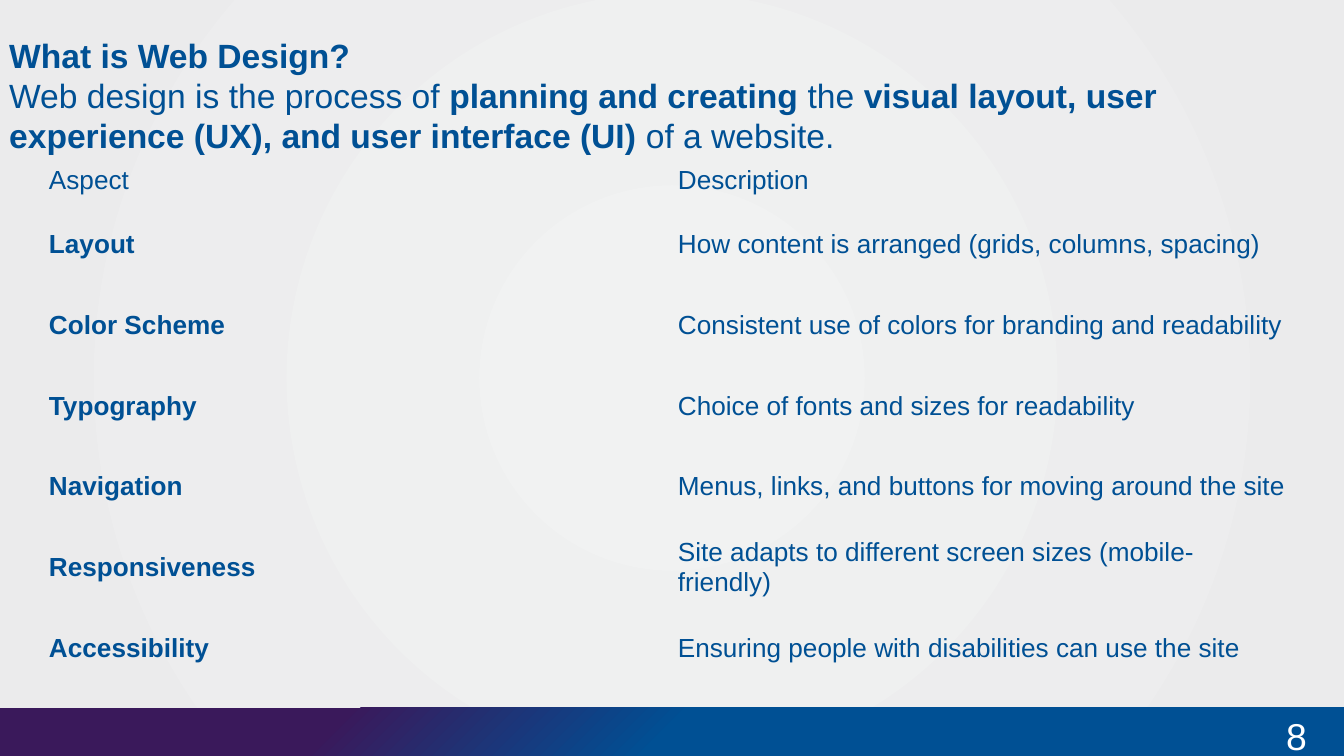
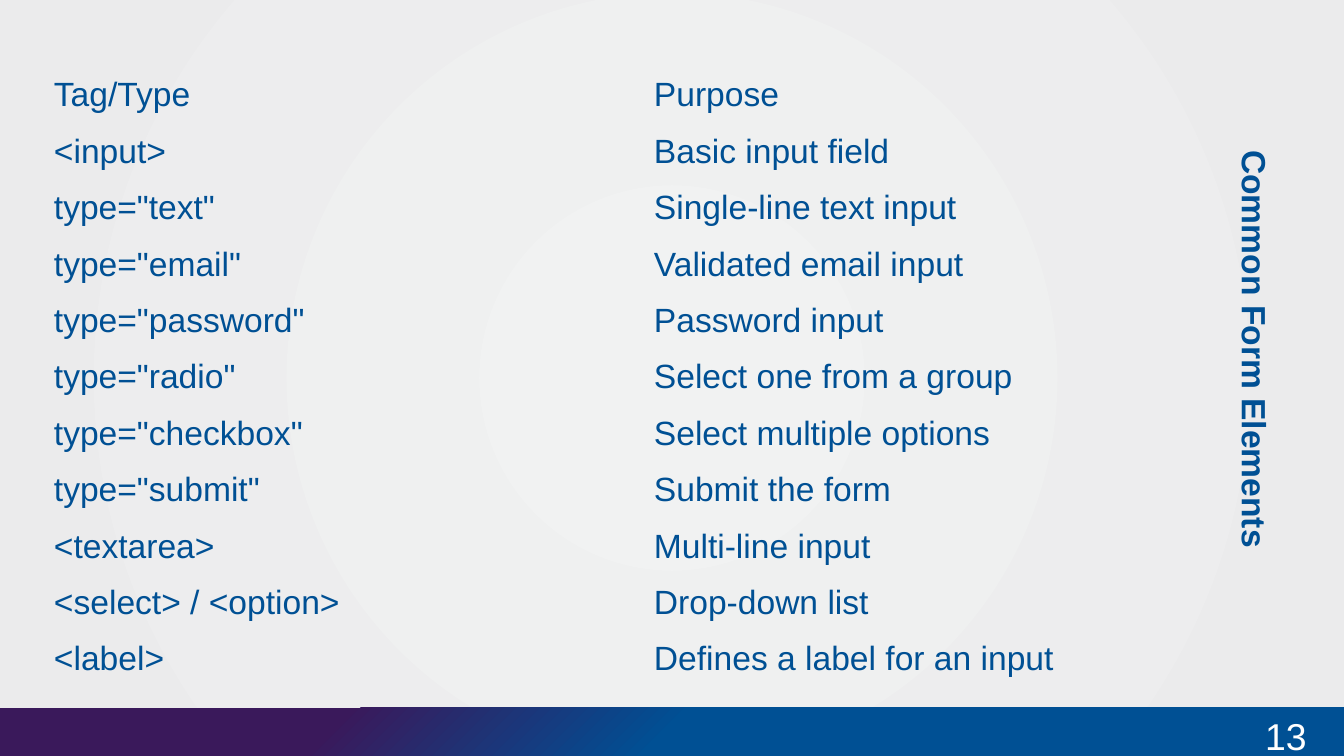
from lxml import etree
from pptx import Presentation
from pptx import util as u
from pptx.dml.color import RGBColor
from pptx.enum import shapes, text
from pptx.oxml.ns import qn

BLUE, PURPLE, WHITE = "005094", "3A195B", "FFFFFF"
PAGE_STOPS = [(0, "F1F2F2"), (100, "EBEBEC")]
BAND_STOPS = [(0, BLUE), (50, BLUE), (75, PURPLE)]
FONT = "Arial"
WIDTH, HEIGHT = 1344, 756
BAND_TOP = 708
PLAIN_TABLE = "{2D5ABB26-0587-4C30-8999-92F81FD0307C}"

# Each paragraph is a list of (words, bold) spans.
DEFINITION = [
    [("What is Web Design?", True)],
    [("Web design is the process of ", False),
     ("planning and creating", True),
     (" the ", False),
     ("visual layout, user experience (UX), and user interface (UI)", True),
     (" of a website.", False)],
]
ASPECTS = [
    ("Aspect", "Description"),
    ("Layout", "How content is arranged (grids, columns, spacing)"),
    ("Color Scheme", "Consistent use of colors for branding and readability"),
    ("Typography", "Choice of fonts and sizes for readability"),
    ("Navigation", "Menus, links, and buttons for moving around the site"),
    ("Responsiveness", "Site adapts to different screen sizes (mobile-friendly)"),
    ("Accessibility", "Ensuring people with disabilities can use the site"),
]
FORM_TITLE = [[("Common Form Elements", True)]]
FORM_ELEMENTS = [
    ("Tag/Type", "Purpose"),
    ("<input>", "Basic input field"),
    ('type="text"', "Single-line text input"),
    ('type="email"', "Validated email input"),
    ('type="password"', "Password input"),
    ('type="radio"', "Select one from a group"),
    ('type="checkbox"', "Select multiple options"),
    ('type="submit"', "Submit the form"),
    ("<textarea>", "Multi-line input"),
    ("<select> / <option>", "Drop-down list"),
    ("<label>", "Defines a label for an input"),
]


def px(length):
    return u.Emu(round(length * 914400 / 134.4))


def color(value):
    return RGBColor.from_string(value)


def set_font(font, size, value, bold=False):
    font.name, font.size, font.bold = FONT, u.Pt(size), bold
    font.color.rgb = color(value)


def radial_fill(fill, owner, stops, focus):
    """Fill with a circular gradient; focus is the left, top, right, bottom inset."""
    fill.solid()
    fill.fore_color.rgb = color(stops[0][1])
    solid = owner.find(".//" + qn("a:solidFill"))
    gradient = etree.Element(qn("a:gradFill"), rotWithShape="1")
    stop_list = etree.SubElement(gradient, qn("a:gsLst"))
    for position, value in stops:
        stop = etree.SubElement(stop_list, qn("a:gs"), pos=str(position * 1000))
        etree.SubElement(stop, qn("a:srgbClr"), val=value)
    circle = etree.SubElement(gradient, qn("a:path"), path="circle")
    insets = {side: str(inset * 1000) for side, inset in zip("ltrb", focus)}
    etree.SubElement(circle, qn("a:fillToRect"), **insets)
    solid.getparent().replace(solid, gradient)


def add_text(page, place, paragraphs, size, value=BLUE):
    box = page.shapes.add_textbox(*map(px, place))
    frame = box.text_frame
    frame.word_wrap = True
    for index, spans in enumerate(paragraphs):
        para = frame.add_paragraph() if index else frame.paragraphs[0]
        set_font(para.font, size, value)
        for words, bold in spans:
            span = para.add_run()
            span.text = words
            set_font(span.font, size, value, bold)
    return box


def add_page(deck, number):
    page = deck.slides.add_slide(deck.slide_layouts[6])
    radial_fill(page.background.fill, page.element, PAGE_STOPS, (50, 50, 50, 50))
    band = page.shapes.add_shape(shapes.MSO_SHAPE.RECTANGLE, 0, px(BAND_TOP),
                                 px(WIDTH), px(HEIGHT - BAND_TOP))
    band.shadow.inherit = False
    band.line.fill.background()
    radial_fill(band.fill, band.element, BAND_STOPS, (100, 100, 0, 0))
    box = add_text(page, (1245, BAND_TOP, 75, 55), [[(str(number), False)]], 20, WHITE)
    box.text_frame.vertical_anchor = text.MSO_ANCHOR.MIDDLE
    box.text_frame.paragraphs[0].alignment = text.PP_ALIGN.RIGHT
    return page


def add_grid(page, place, rows, size, header_height, bold_labels=False):
    """Add a plain two-column table; rows below the header share the height left."""
    left, top, width, height = place
    table = page.shapes.add_table(len(rows), 2, *map(px, place)).table
    table.first_row = table.horz_banding = False
    table._tbl.tblPr.find(qn("a:tableStyleId")).text = PLAIN_TABLE
    for column in table.columns:
        column.width = px(width / 2)
    row_height = (height - header_height) / (len(rows) - 1)
    for r, values in enumerate(rows):
        table.rows[r].height = px(row_height if r else header_height)
        for c, value in enumerate(values):
            cell = table.cell(r, c)
            cell.text = value
            cell.fill.background()
            cell.vertical_anchor = text.MSO_ANCHOR.MIDDLE
            cell.margin_left = cell.margin_right = px(10)
            cell.margin_top = cell.margin_bottom = px(5)
            bold = bold_labels and r > 0 and c == 0
            set_font(cell.text_frame.paragraphs[0].font, size, BLUE, bold)


def main():
    deck = Presentation()
    deck.slide_width, deck.slide_height = px(WIDTH), px(HEIGHT)

    page = add_page(deck, 8)
    add_grid(page, (39, 157, 1258, 532), ASPECTS, 14, 47, bold_labels=True)
    add_text(page, (-4, 28, 1204, 136), DEFINITION, 18)

    page = add_page(deck, 13)
    form_height = 621
    add_grid(page, (44, 67, 1200, form_height), FORM_ELEMENTS, 18,
             form_height / len(FORM_ELEMENTS))
    add_text(page, (919, 446, 672, 54), FORM_TITLE, 18).rotation = 90

    deck.save("out.pptx")


if __name__ == "__main__":
    main()
